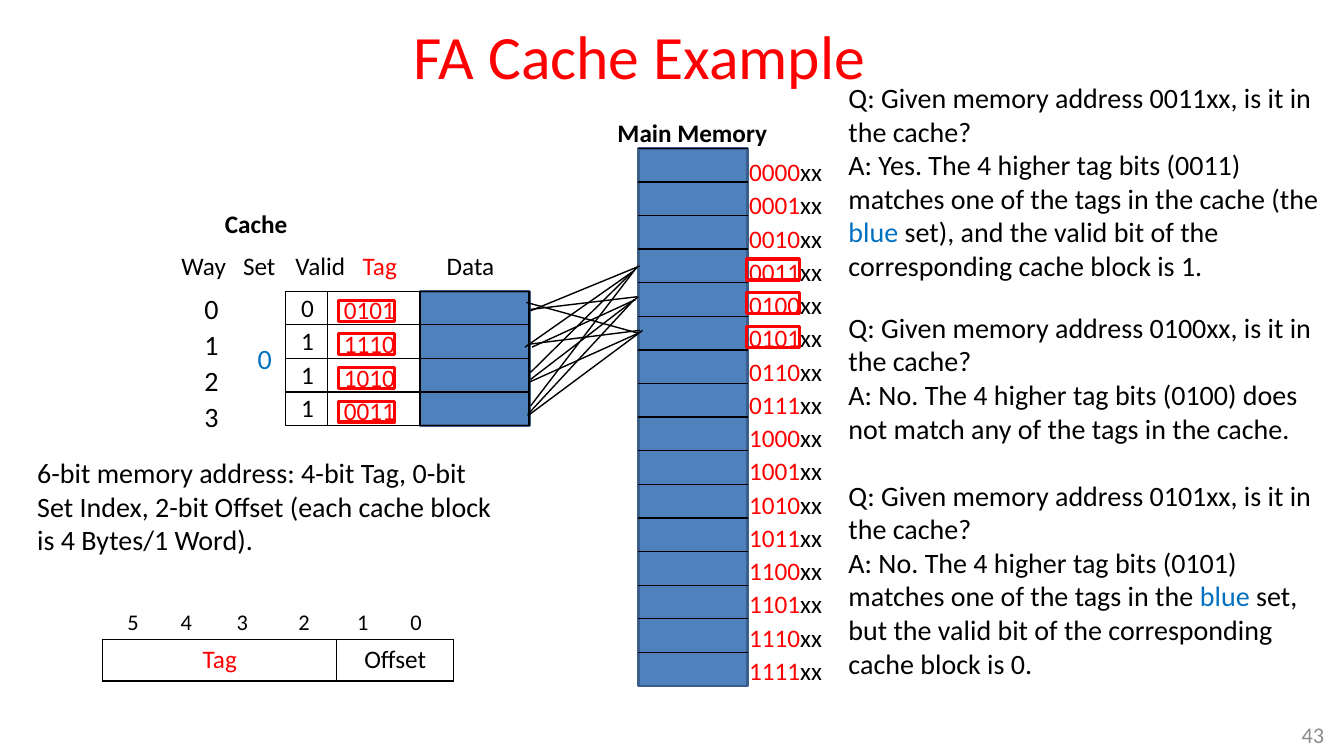
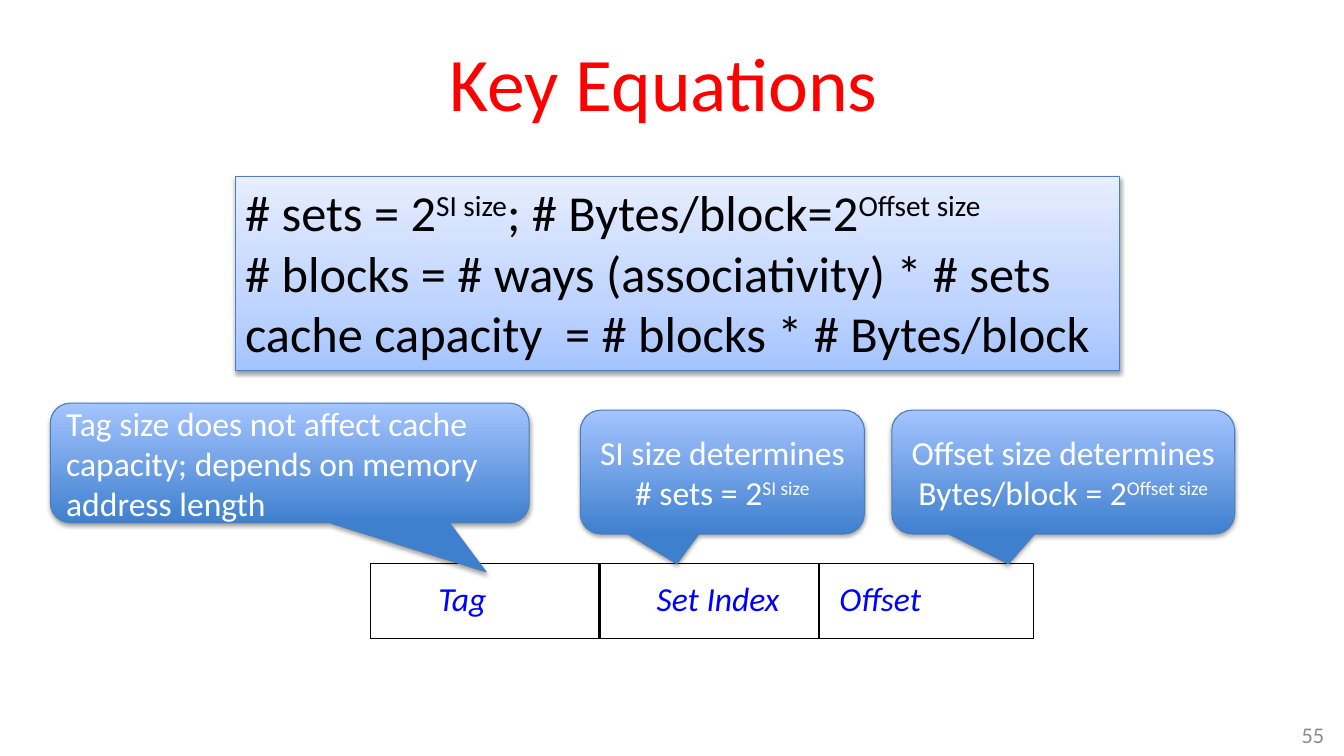
"""Build two slides on cache lookup and its key equations."""
from dataclasses import dataclass, field
from typing import NamedTuple

from pptx import Presentation
from pptx.dml.color import RGBColor
from pptx.enum.shapes import MSO_CONNECTOR, MSO_SHAPE
from pptx.enum.text import MSO_ANCHOR, MSO_AUTO_SIZE, PP_ALIGN
from pptx.oxml import parse_xml
from pptx.oxml.ns import nsdecls, qn
from pptx.util import Pt

BLACK, WHITE, GREY = "000000", "FFFFFF", "8C8C8C"
RED, BLUE, INK = "FF0000", "0070C0", "0000FF"
BLOCK, EDGE, RIM = "4F81BD", "3A5F8C", "4B7EBC"
FONT = "Calibri"
STEP = 24
CENTRE = {"alignment": PP_ALIGN.CENTER}


class Box(NamedTuple):
    x: float
    y: float
    w: float
    h: float


class Run(NamedTuple):
    text: str
    hue: str = ""
    lift: bool = False


@dataclass
class Label:
    box: Box
    paras: list
    size: float = 18
    hue: str = BLACK
    font: dict = field(default_factory=dict)
    para: dict = field(default_factory=dict)
    wrap: bool = False
    fixed: bool = False


@dataclass
class Callout:
    box: Box
    runs: list
    tip: tuple
    para: dict


class Stop(NamedTuple):
    place: int
    hue: str


PALE = [Stop(0, "A4C4FF"), Stop(35, "BFD4FF"), Stop(100, "E6EEFF")]
DEEP = [Stop(0, "3F80CE"), Stop(100, "A4C4FF")]


def tint(code: str) -> RGBColor:
    return RGBColor.from_string(code)


def write(frame, paras: list, size: float, hue: str, font: dict, form: dict) -> None:
    look = {"name": FONT, "size": Pt(size), **font}
    for i, runs in enumerate(paras):
        para = frame.paragraphs[0] if i == 0 else frame.add_paragraph()
        for key, value in form.items():
            setattr(para, key, value)
        for part in [Run(runs)] if isinstance(runs, str) else runs:
            run = para.add_run()
            run.text = part.text
            for key, value in look.items():
                setattr(run.font, key, value)
            run.font.color.rgb = tint(part.hue or hue)
            if part.lift:
                run._r.get_or_add_rPr().set("baseline", "30000")


def label(slide, item: Label) -> None:
    frame = slide.shapes.add_textbox(*map(Pt, item.box)).text_frame
    frame.word_wrap = item.wrap
    if item.fixed:
        frame.vertical_anchor = MSO_ANCHOR.MIDDLE
    else:
        frame.auto_size = MSO_AUTO_SIZE.SHAPE_TO_FIT_TEXT
    write(frame, item.paras, item.size, item.hue, item.font, item.para)


def block(slide, box: Box, line: str, width: float, fill: str = "",
          kind: MSO_SHAPE = MSO_SHAPE.RECTANGLE):
    shape = slide.shapes.add_shape(kind, *map(Pt, box))
    shape.shadow.inherit = False
    if fill:
        shape.fill.solid()
        shape.fill.fore_color.rgb = tint(fill)
    else:
        shape.fill.background()
    shape.line.color.rgb = tint(line)
    shape.line.width = Pt(width)
    return shape


def shade(shape, stops: list, alpha: int) -> None:
    props = shape._element.spPr
    marks = "".join(
        f'<a:gs pos="{s.place * 1000}"><a:srgbClr val="{tint(s.hue)}"/></a:gs>'
        for s in stops)
    props.replace(props.find(qn("a:noFill")), parse_xml(
        f'<a:gradFill {nsdecls("a")} rotWithShape="1"><a:gsLst>{marks}</a:gsLst>'
        '<a:lin ang="16200000" scaled="0"/></a:gradFill>'))
    props.find(qn("a:effectLst")).append(parse_xml(
        f'<a:outerShdw {nsdecls("a")} blurRad="{Pt(3.1)}" dist="{Pt(1.7)}" '
        f'dir="5400000" rotWithShape="0"><a:srgbClr val="{tint(BLACK)}">'
        f'<a:alpha val="{alpha * 1000}"/></a:srgbClr></a:outerShdw>'))


def line(slide, start: tuple, end: tuple, width: float = 1):
    link = slide.shapes.add_connector(
        MSO_CONNECTOR.STRAIGHT, *map(Pt, start + end))
    link.line.color.rgb = tint(BLACK)
    link.line.width = Pt(width)
    link._element.spPr.append(parse_xml(f'<a:effectLst {nsdecls("a")}/>'))
    return link


def stack(slide, shape, box: Box, first: int = 1) -> None:
    count = round(box.h / STEP)
    for i in range(first, count):
        y = box.y + i * STEP
        link = line(slide, (box.x, y), (box.x + box.w, y))
        if 2 * i == count:
            link.begin_connect(shape, 1)
            link.end_connect(shape, 3)


def frame(slide, title: Label, page: str) -> None:
    label(slide, title)
    label(slide, Label(Box(905, 510, 48, 30), [page], 16, GREY,
                       para={"alignment": PP_ALIGN.RIGHT}, wrap=True, fixed=True))


def fields(slide) -> None:
    for x, digit in zip((84, 122, 162, 206, 248, 286), "543210"):
        label(slide, Label(Box(x, 430.5, 22, 27), [digit], 16))
    table = slide.shapes.add_table(1, 2, *map(Pt, (73.5, 457, 250.5, 29.5))).table
    table.first_row = table.horz_banding = False
    for i, (name, hue, width) in enumerate(
            [("Tag", RED, 167), ("Offset", BLACK, 83.5)]):
        table.columns[i].width = Pt(width)
        cell = table.cell(0, i)
        cell.fill.background()
        write(cell.text_frame, [name], 18, hue, {}, CENTRE)
        props = cell._tc.get_or_add_tcPr()
        for j, side in enumerate(("lnL", "lnR", "lnT", "lnB")):
            props.insert(j, parse_xml(
                f'<a:{side} {nsdecls("a")} w="{Pt(1)}"><a:solidFill>'
                f'<a:srgbClr val="{tint(BLACK)}"/></a:solidFill></a:{side}>'))


def cache(slide) -> None:
    block(slide, Box(300, 208, 78, 96), EDGE, 2, BLOCK)
    for x, width in [(300, 78), (234, 66), (204, 30)]:
        box = Box(x, 208, width, 96)
        stack(slide, block(slide, box, BLACK, 1), box)
    label(slide, Label(Box(153.5, 145.5, 60, 29), ["Cache"], font={"bold": True}))
    heads = [("Way", 122.5, 47), ("Set", 166.5, 38), ("Valid", 204, 50),
             ("Tag", 252, 39), ("Data", 312, 49)]
    for name, x, width in heads:
        label(slide, Label(Box(x, 175, width, 29), [name],
                           hue=RED if name == "Tag" else BLACK))
    label(slide, Label(Box(177, 240.5, 24.5, 31.5), ["0"], 20, BLUE))
    for i, (valid, tag) in enumerate(
            [("0", "0101"), ("1", "1110"), ("1", "1010"), ("1", "0011")]):
        drop = i * STEP
        label(slide, Label(Box(139, 205 + i * 25.5, 24.5, 31.5), [str(i)], 20))
        label(slide, Label(Box(208, 205 + drop, 24, 29), [valid]))
        label(slide, Label(Box(238.5, 207 + drop, 51, 29), [tag], hue=RED))
        block(slide, Box(242, 214.5 + drop, 40, 15), RED, 2.25)


def lookup(slide) -> None:
    store = Box(456, 106, 78, 384)
    stack(slide, block(slide, store, EDGE, 2, BLOCK), store, 0)
    label(slide, Label(Box(434, 80.5, 122.5, 29), ["Main Memory"],
                       font={"bold": True}))
    rows = [[Run(f"{i:04b}", RED), Run("xx")] for i in range(16)]
    label(slide, Label(Box(528, 106, 78, 391), rows,
                       para={"line_spacing": 1.1}, wrap=True))
    cache(slide)
    for i in range(3):
        block(slide, Box(533.5, 185 + i * STEP, 37.5, 15), RED, 2.25)
    fans = [
        ((454, 192), (379, 290)), ((452, 194), (375, 248)),
        ((456, 190), (379, 266)), ((457, 190), (379, 222)),
        ((455, 212), (379, 221)), ((456, 212), (379, 271)),
        ((453, 214), (377, 296)), ((454, 214), (380, 248)),
        ((457, 236), (377, 246)), ((459, 236), (377, 297)),
        ((456, 238), (376, 216)), ((456, 238), (378, 273)),
    ]
    for start, end in fans:
        line(slide, start, end)
    notes = [
        (Box(19.5, 322, 342.5, 80), [
            "6-bit memory address: 4-bit Tag, 0-bit Set Index, 2-bit Offset "
            "(each cache block is 4 Bytes/1 Word)."]),
        (Box(599, 54, 354, 152.5), [
            "Q: Given memory address 0011xx, is it in the cache?",
            [Run("A: Yes. The 4 higher tag bits (0011) matches one of the tags "
                 "in the cache (the "), Run("blue", BLUE),
             Run(" set), and the valid bit of the corresponding cache block is 1.")]]),
        (Box(599, 218, 354, 104.5), [
            "Q: Given memory address 0100xx, is it in the cache?",
            "A: No. The 4 higher tag bits (0100) does not match any of the tags "
            "in the cache."]),
        (Box(599, 338, 354, 152.5), [
            "Q: Given memory address 0101xx, is it in the cache?",
            [Run("A: No. The 4 higher tag bits (0101) matches one of the tags "
                 "in the "), Run("blue", BLUE),
             Run(" set, but the valid bit of the corresponding cache block is 0.")]]),
    ]
    for box, paras in notes:
        label(slide, Label(box, paras, 20, wrap=True))
    fields(slide)
    frame(slide, Label(Box(112, 9, 690, 68), ["FA Cache Example"], 44, RED,
                       para={**CENTRE, "line_spacing": 0.85},
                       wrap=True, fixed=True), "43")


def sums(slide) -> None:
    frame(slide, Label(Box(150, 39, 648, 38), ["Key Equations"], 54, RED,
                       para=CENTRE, wrap=True, fixed=True), "55")
    block(slide, Box(264.5, 402.5, 474, 53.5), BLACK, 0.75)
    for x in (428.5, 585):
        line(slide, (x, 402.5), (x, 455.5), 2)
    for name, x, width in [("Tag", 306, 50), ("Set Index", 462, 103),
                           ("Offset", 592.5, 74)]:
        label(slide, Label(Box(x, 409, width, 36), [name], 24, INK,
                           {"italic": True}))
    panel = block(slide, Box(168, 126, 632, 138.5), RIM, 0.75)
    shade(panel, PALE, 38)
    panel.text_frame.word_wrap = True
    panel.text_frame.vertical_anchor = MSO_ANCHOR.TOP
    write(panel.text_frame, [
        [Run("# sets = 2"), Run("SI size", lift=True),
         Run("; # Bytes/block=2"), Run("Offset size", lift=True)],
        "# blocks = # ways (associativity) * # sets",
        "cache capacity  = # blocks * # Bytes/block",
    ], 36, BLACK, {}, {"alignment": PP_ALIGN.LEFT})
    hints = [
        Callout(Box(414.5, 293, 203, 88.5),
                [Run("SI size determines # sets = 2"), Run("SI size", lift=True)],
                (-0.16, 0.74), CENTRE),
        Callout(Box(637, 293, 245, 88.5),
                [Run("Offset size determines Bytes/block = 2"),
                 Run("Offset size", lift=True)], (-0.16, 0.74), CENTRE),
        Callout(Box(36, 288, 342, 85.5),
                [Run("Tag size does not affect cache capacity; "
                     "depends on memory address length")],
                (0.41, 0.91), {"alignment": PP_ALIGN.LEFT}),
    ]
    for hint in hints:
        shape = block(slide, hint.box, RIM, 0.75,
                      kind=MSO_SHAPE.ROUNDED_RECTANGULAR_CALLOUT)
        for i, value in enumerate(hint.tip):
            shape.adjustments[i] = value
        shade(shape, DEEP, 35)
        shape.text_frame.word_wrap = True
        shape.text_frame.vertical_anchor = MSO_ANCHOR.MIDDLE
        write(shape.text_frame, [hint.runs], 24, WHITE, {}, hint.para)


def main() -> None:
    deck = Presentation()
    deck.slide_width, deck.slide_height = Pt(960), Pt(540)
    for draw in (lookup, sums):
        draw(deck.slides.add_slide(deck.slide_layouts[6]))
    deck.save("out.pptx")


if __name__ == "__main__":
    main()
